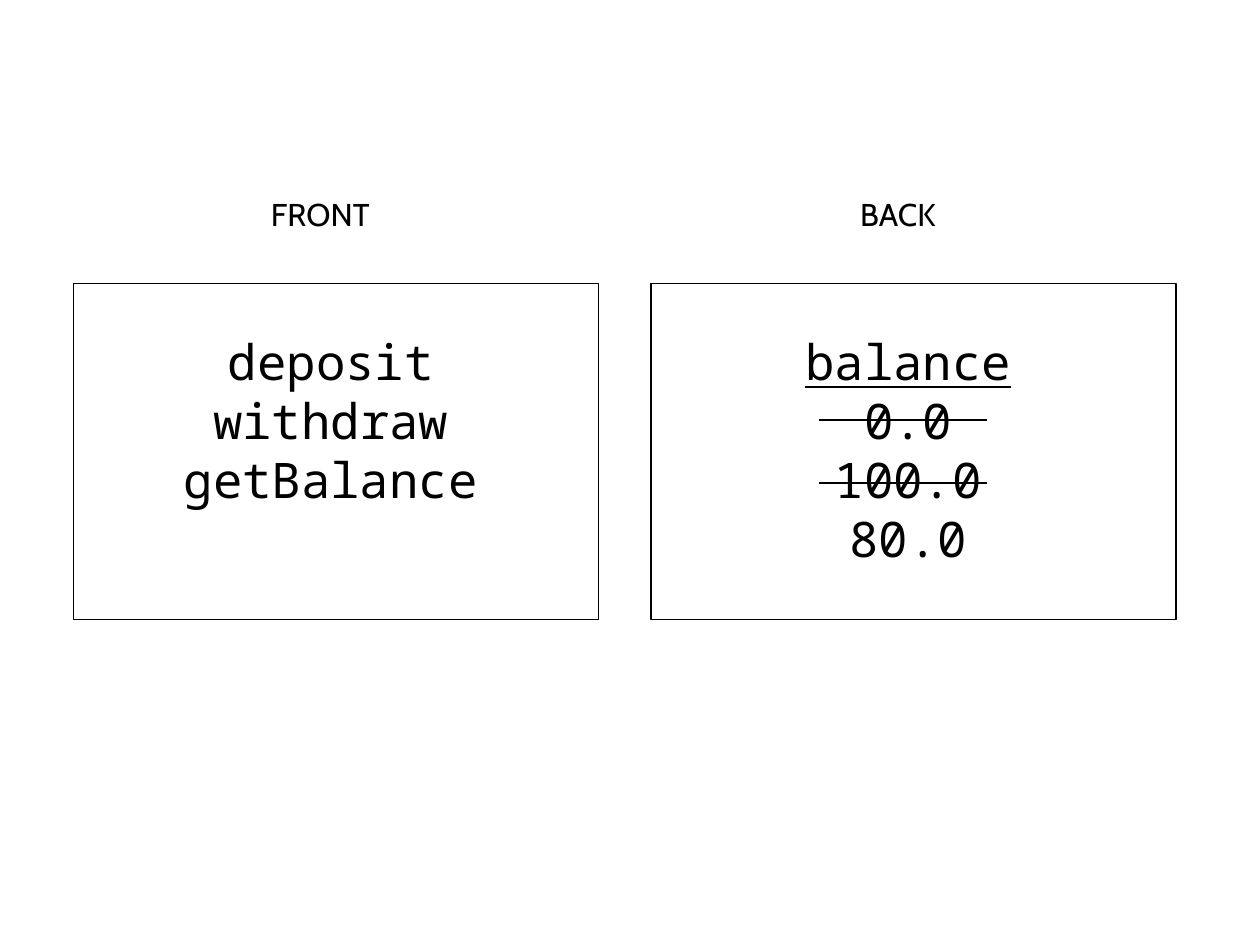
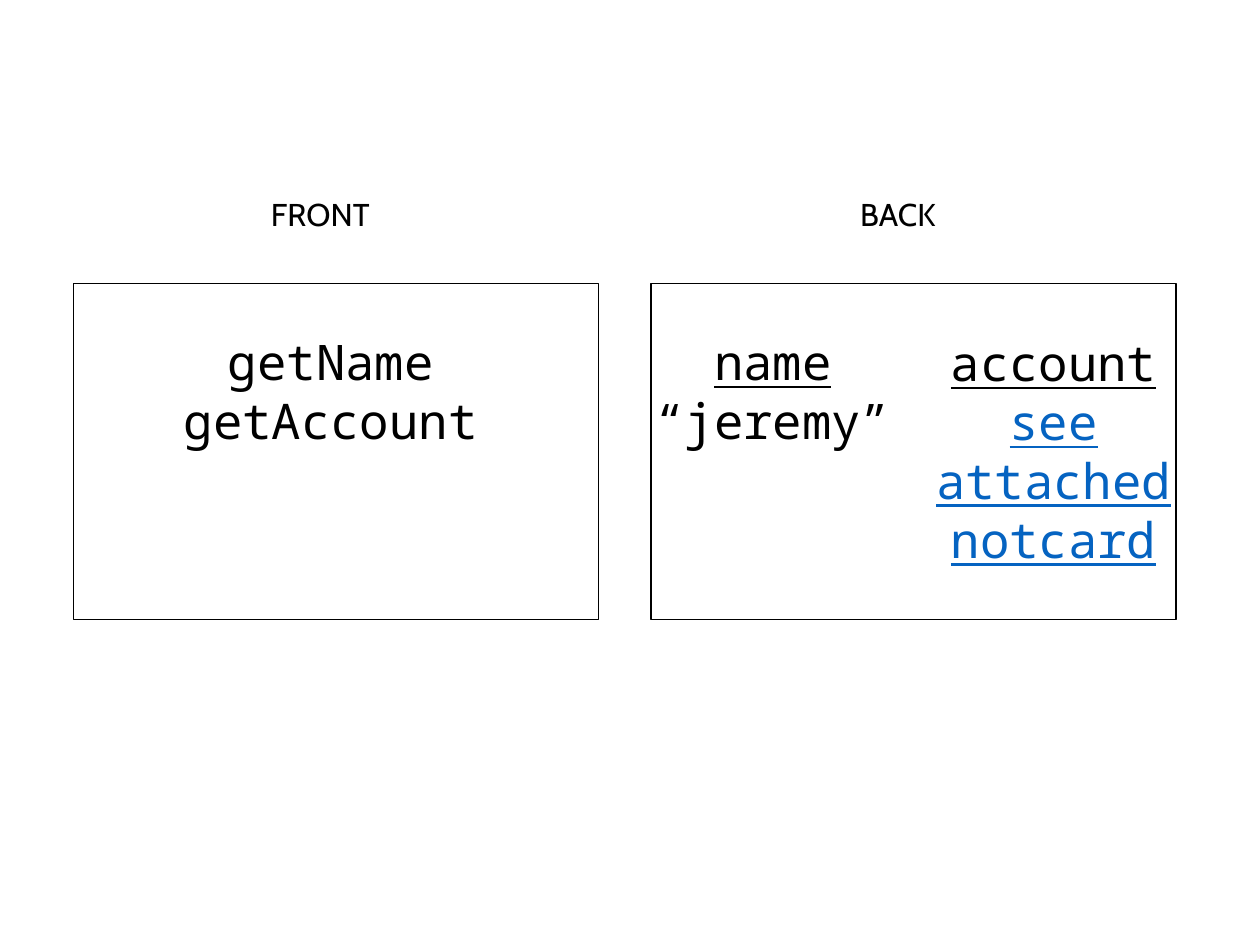
from pptx import Presentation
from pptx import util as u
from pptx.dml.color import RGBColor
from pptx.enum import shapes, text
from pptx.oxml.ns import qn
from lxml import etree

COLORS = {"ink": "000000", "link": "0563C1"}
FORMATS = {
    "label": {"name": "Cabin", "size": u.Pt(18)},
    "code": {"name": "Noto Sans Mono", "size": u.Pt(28)},
    "heading": {"name": "Noto Sans Mono", "size": u.Pt(28), "underline": True},
}
FORMATS["link"] = FORMATS["heading"]

CELL = u.Inches(1) / 12  # the slide is a grid of 120 columns by 90 rows
CARD_TOP, CARD_WIDTH, CARD_HEIGHT = 27, 50, 32
CARD_LEFT = {"FRONT": 7, "BACK": 62}
LABEL_TOP, LABEL_INDENT, LABEL_WIDTH = 18, 13, 21
LIST_TOP, LIST_INDENT, LIST_WIDTH = 31, 9, 31
LINE_ROWS = 5.65


def grid(*cells):
    return [u.Emu(round(cell * CELL)) for cell in cells]


def color(name):
    return RGBColor.from_string(COLORS[name])


class NoteCards:
    """Draws the front and back of a note card on the current slide."""

    def __init__(self):
        self.deck = Presentation()
        self.deck.slide_width, self.deck.slide_height = grid(120, 90)
        self.page = None

    def new_page(self):
        self.page = self.deck.slides.add_slide(self.deck.slide_layouts[6])

    def text_lines(self, left, top, width, lines):
        """Add centred lines, each a pair of wording and format name."""
        height = LINE_ROWS * len(lines) + 1.2
        box = self.page.shapes.add_textbox(*grid(left, top, width, height))
        frame = box.text_frame
        frame.word_wrap = True
        for index, (wording, style) in enumerate(lines):
            para = frame.add_paragraph() if index else frame.paragraphs[0]
            para.alignment = text.PP_ALIGN.CENTER
            span = para.add_run()
            span.text = wording
            for attribute, value in FORMATS[style].items():
                setattr(span.font, attribute, value)
            span.font.color.rgb = color("link" if style == "link" else "ink")

    def card(self, side):
        left = CARD_LEFT[side]
        box = self.page.shapes.add_shape(
            shapes.MSO_SHAPE.RECTANGLE,
            *grid(left, CARD_TOP, CARD_WIDTH, CARD_HEIGHT))
        box.shadow.inherit = False
        box.fill.background()
        box.line.color.rgb = color("ink")
        box.line.width = u.Pt(1)
        self.text_lines(left + LABEL_INDENT, LABEL_TOP, LABEL_WIDTH,
                        [(side, "label")])

    def methods(self, *names):
        self.card("FRONT")
        self.text_lines(CARD_LEFT["FRONT"] + LIST_INDENT, LIST_TOP, LIST_WIDTH,
                        [(name, "code") for name in names])

    def field(self, name, *values, indent=LIST_INDENT, top=LIST_TOP, style="code"):
        self.text_lines(CARD_LEFT["BACK"] + indent, top, LIST_WIDTH,
                        [(name, "heading")] + [(value, style) for value in values])

    def strike(self, row):
        """Cross out an old value on the back of the card."""
        line = self.page.shapes.add_connector(
            shapes.MSO_CONNECTOR.STRAIGHT, *grid(78, row, 94, row))
        line.line.color.rgb = color("ink")
        line.line.width = u.Pt(1.5)
        etree.SubElement(line._element.spPr, qn("a:effectLst"))


def main():
    cards = NoteCards()

    cards.new_page()
    cards.methods("deposit", "withdraw", "getBalance")
    cards.card("BACK")
    cards.field("balance", "0.0", "100.0", "80.0")
    for row in (40, 46):
        cards.strike(row)

    cards.new_page()
    cards.methods("getName", "getAccount")
    cards.card("BACK")
    cards.field("name", "“jeremy”", indent=-3.9)
    cards.field("account", "see attached notcard",
                indent=22.85, top=LIST_TOP + 0.1, style="link")

    cards.deck.save("out.pptx")


if __name__ == "__main__":
    main()
